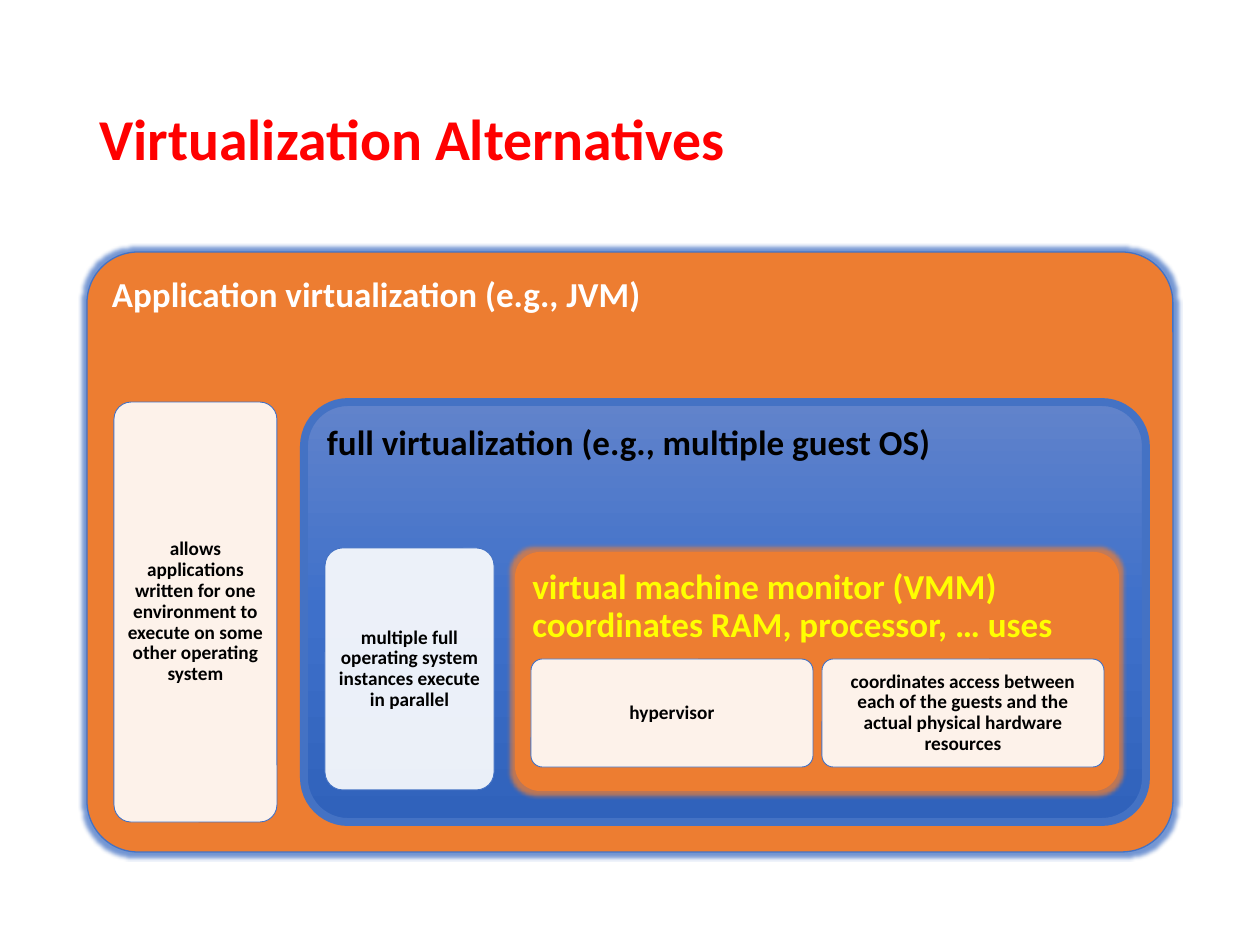
from copy import deepcopy
from lxml import etree
from pptx import Presentation
from pptx import util as u
from pptx.dml.color import RGBColor
from pptx.enum import shapes, text
from pptx.oxml.ns import qn

COLORS = {"red": "FF0000", "orange": "ED7D31", "blue": "4472C4", "white": "FFFFFF",
          "black": "000000", "yellow": "FFFF00"}
GRADIENT = [(0, "6183CB"), (0.5, "3E70CA"), (1, "3062BB")]
FONT = "Calibri"
TITLE = "Virtualization Alternatives"
TITLE_BOX = (87, 50, 1086, 183)

# Each panel: box in px, corner, fill, line (colour, pt), glow (colour, px), text, text colour;
# its notes share one row, each given as (left, width, text).
PANELS = [
    dict(box=(87, 252, 1086, 600), corner=0.085, fill="orange", line=("blue", 0.75),
         glow=("blue", 9), text="Application virtualization (e.g., JVM)", color="white",
         row=(402, 420),
         notes=[(114, 163, "allows applications written for one environment to execute "
                           "on some other operating system")]),
    dict(box=(304, 402, 842, 420), corner=0.105, fill="gradient", line=("blue", 4.5),
         glow=("orange", 9), text="full virtualization (e.g., multiple guest OS)", color="black",
         row=(548, 242),
         notes=[(325, 169, "multiple full operating system instances execute in parallel")]),
    dict(box=(515, 552, 604, 239), corner=0.105, fill="orange", line=None,
         glow=("orange", 9),
         text="virtual machine monitor (VMM) coordinates RAM, processor, … uses", color="yellow",
         row=(659, 108),
         notes=[(531, 282, "hypervisor"),
                (822, 282, "coordinates access between each of the guests and the actual "
                           "physical hardware resources")]),
]


def px(n):
    return u.Emu(round(n * 914400 / 126))


def rgb(name):
    return RGBColor.from_string(COLORS[name])


def write(tf, words, size, color, align):
    p = tf.paragraphs[0]
    p.alignment = align
    p.line_spacing = 0.9
    r = p.add_run()
    r.text = words
    r.font.name, r.font.size, r.font.bold = FONT, u.Pt(size), True
    r.font.color.rgb = rgb(color)


def set_alpha(parent, percent):
    color = next(parent.iter(qn("a:srgbClr")))
    etree.SubElement(color, qn("a:alpha")).set("val", str(percent * 1000))


def fill_gradient(fill, sp):
    fill.gradient()
    fill.gradient_angle = 270
    stops = next(sp._element.iter(qn("a:gsLst")))
    stops.insert(1, deepcopy(stops[0]))
    for stop, (position, color) in zip(fill.gradient_stops, GRADIENT):
        stop.position = position
        stop.color.rgb = RGBColor.from_string(color)


def add_glow(sp, color, radius):
    effects = sp._element.spPr.find(qn("a:effectLst"))
    glow = etree.SubElement(effects, qn("a:glow"), rad=str(px(radius)))
    etree.SubElement(glow, qn("a:srgbClr"), val=COLORS[color])
    set_alpha(glow, 75)


def add_box(s, box, corner, fill, line, inset, anchor):
    sp = s.shapes.add_shape(shapes.MSO_SHAPE.ROUNDED_RECTANGLE, *map(px, box))
    sp.adjustments[0] = corner
    sp.shadow.inherit = False
    if fill == "gradient":
        fill_gradient(sp.fill, sp)
    else:
        sp.fill.solid()
        sp.fill.fore_color.rgb = rgb(fill)
    if line:
        sp.line.color.rgb = rgb(line[0])
        sp.line.width = u.Pt(line[1])
    else:
        sp.line.fill.background()
    tf = sp.text_frame
    tf.word_wrap = True
    tf.vertical_anchor = anchor
    tf.margin_left = tf.margin_top = tf.margin_right = tf.margin_bottom = px(inset)
    return sp


def add_panel(s, panel):
    sp = add_box(s, panel["box"], panel["corner"], panel["fill"], panel["line"],
                 10, text.MSO_ANCHOR.TOP)
    add_glow(sp, *panel["glow"])
    write(sp.text_frame, panel["text"], 20, panel["color"], text.PP_ALIGN.LEFT)
    top, height = panel["row"]
    for left, width, words in panel["notes"]:
        note = add_box(s, (left, top, width, height), 0.105, "white", ("blue", 0.5),
                       6, text.MSO_ANCHOR.MIDDLE)
        set_alpha(note._element.spPr.find(qn("a:solidFill")), 90)
        write(note.text_frame, words, 11, "black", text.PP_ALIGN.CENTER)


def main():
    prs = Presentation()
    prs.slide_width, prs.slide_height = px(1260), px(945)
    s = prs.slides.add_slide(prs.slide_layouts[5])
    title = s.shapes.title
    title.left, title.top, title.width, title.height = map(px, TITLE_BOX)
    title.text_frame.vertical_anchor = text.MSO_ANCHOR.MIDDLE
    write(title.text_frame, TITLE, 33, "red", text.PP_ALIGN.LEFT)
    for panel in PANELS:
        add_panel(s, panel)
    prs.save("out.pptx")


if __name__ == "__main__":
    main()
